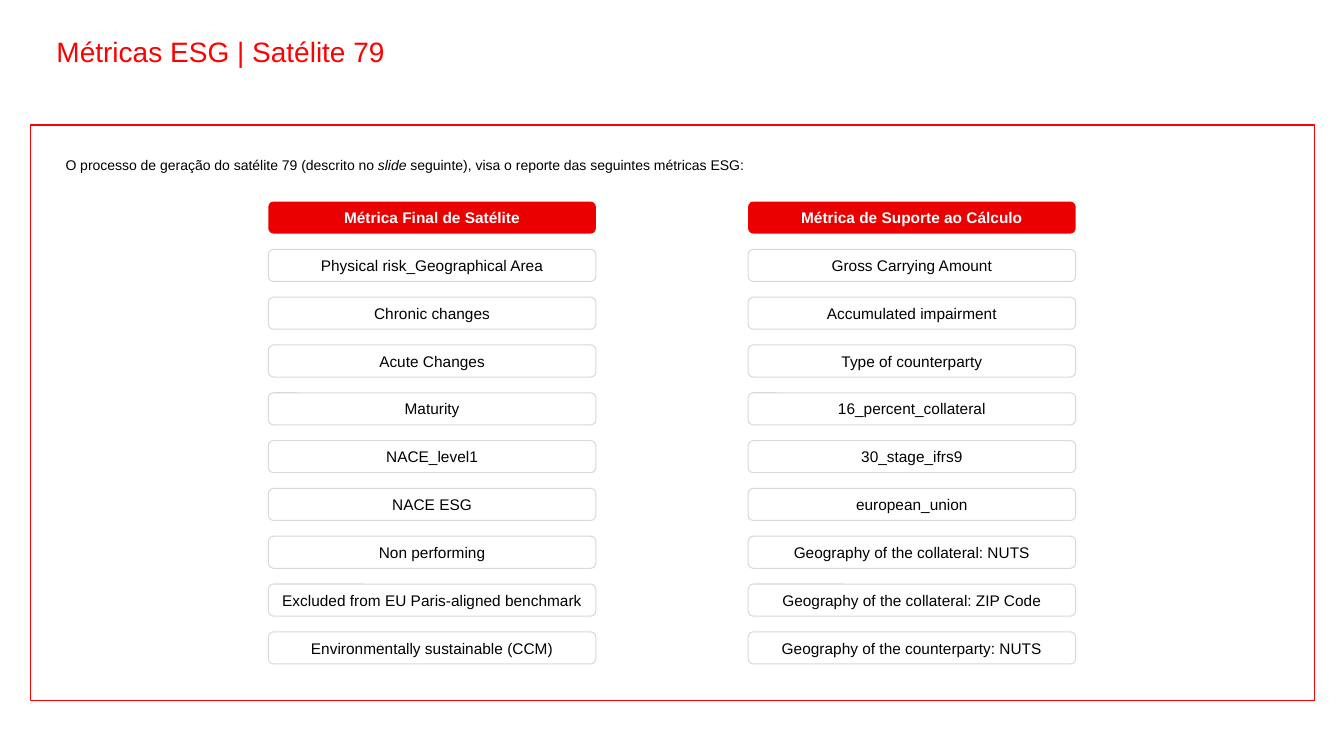
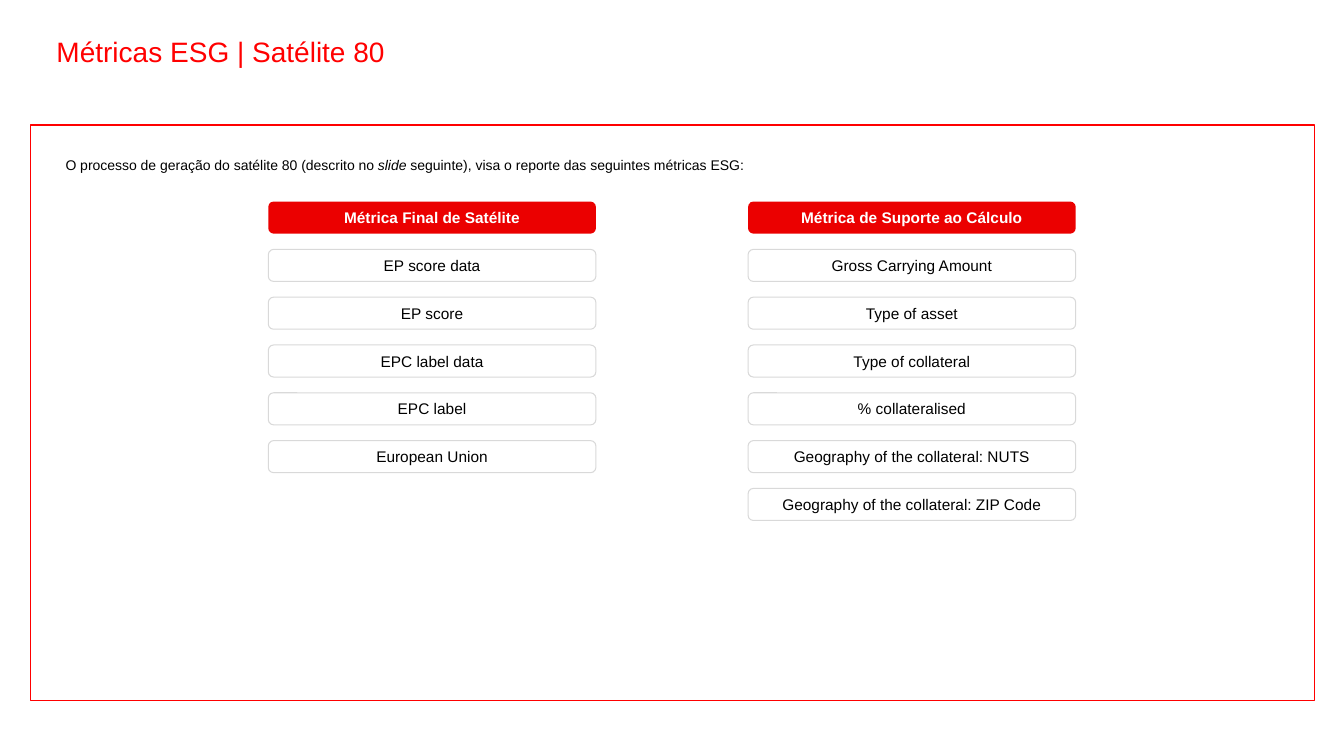
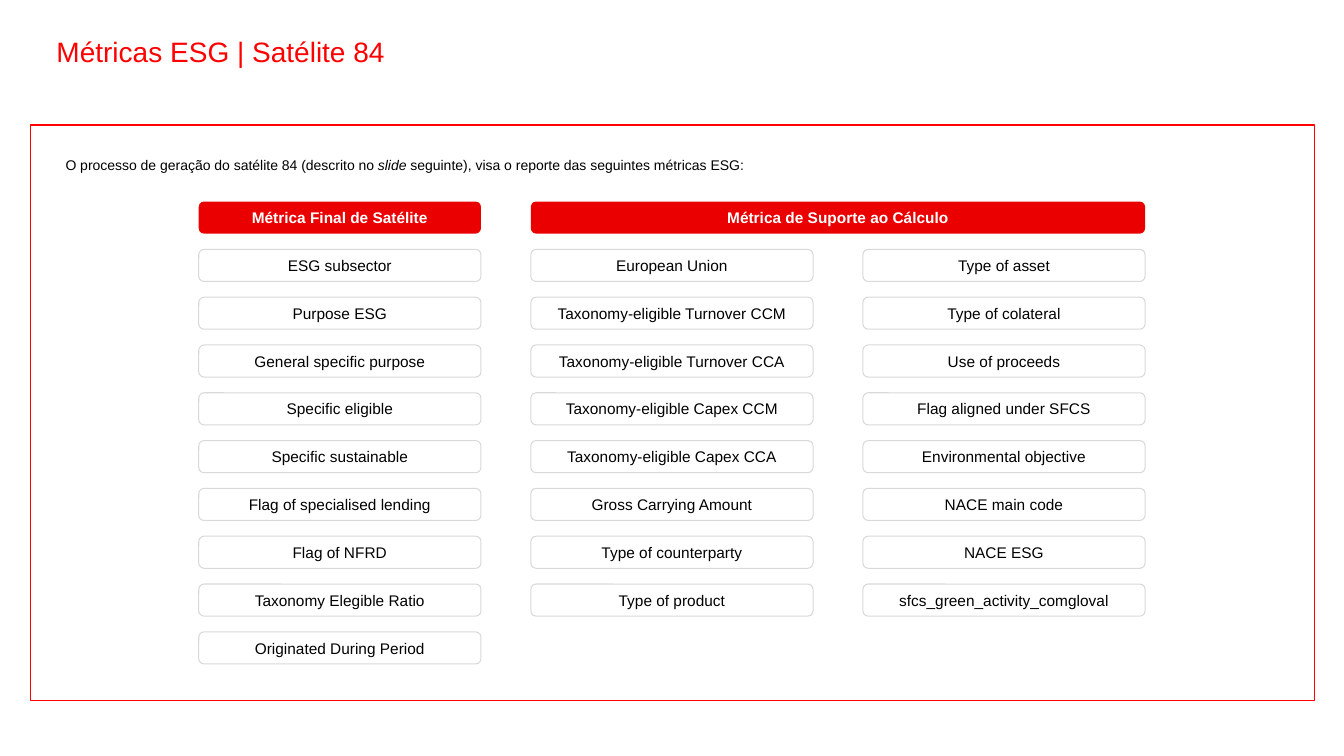
from dataclasses import dataclass

from lxml import etree
from pptx import Presentation
from pptx.dml.color import RGBColor
from pptx.enum.shapes import MSO_SHAPE
from pptx.enum.text import MSO_ANCHOR, MSO_AUTO_SIZE, PP_ALIGN
from pptx.oxml.ns import qn
from pptx.util import Pt

RECT, ROUND_RECT = MSO_SHAPE.RECTANGLE, MSO_SHAPE.ROUNDED_RECTANGLE
LEFT, CENTER = PP_ALIGN.LEFT, PP_ALIGN.CENTER
TOP, MIDDLE = MSO_ANCHOR.TOP, MSO_ANCHOR.MIDDLE
NO_FIT = MSO_AUTO_SIZE.NONE

# Content: each section is a heading over one or more columns of metrics
FINAL, SUPPORT = "Métrica Final de Satélite", "Métrica de Suporte ao Cálculo"

SATELLITES = [
    {"number": 79, "width": 234, "gap": 108.7, "sections": [
        (FINAL, [[
            "Physical risk_Geographical Area", "Chronic changes", "Acute Changes",
            "Maturity", "NACE_level1", "NACE ESG", "Non performing",
            "Excluded from EU Paris-aligned benchmark",
            "Environmentally sustainable (CCM)"]]),
        (SUPPORT, [[
            "Gross Carrying Amount", "Accumulated impairment", "Type of counterparty",
            "16_percent_collateral", "30_stage_ifrs9", "european_union",
            "Geography of the collateral: NUTS",
            "Geography of the collateral: ZIP Code",
            "Geography of the counterparty: NUTS"]]),
    ]},
    {"number": 80, "width": 234, "gap": 108.7, "sections": [
        (FINAL, [[
            "EP score data", "EP score", "EPC label data", "EPC label",
            "European Union"]]),
        (SUPPORT, [[
            "Gross Carrying Amount", "Type of asset", "Type of collateral",
            "% collateralised", "Geography of the collateral: NUTS",
            "Geography of the collateral: ZIP Code"]]),
    ]},
    {"number": 84, "width": 201.6, "gap": 35.6, "sections": [
        (FINAL, [[
            "ESG subsector", "Purpose ESG", "General specific purpose",
            "Specific eligible", "Specific sustainable",
            "Flag of specialised lending", "Flag of NFRD",
            "Taxonomy Elegible Ratio", "Originated During Period"]]),
        (SUPPORT, [
            ["European Union", "Taxonomy-eligible Turnover CCM",
             "Taxonomy-eligible Turnover CCA", "Taxonomy-eligible Capex CCM",
             "Taxonomy-eligible Capex CCA", "Gross Carrying Amount",
             "Type of counterparty", "Type of product"],
            ["Type of asset", "Type of colateral", "Use of proceeds",
             "Flag aligned under SFCS", "Environmental objective",
             "NACE main code", "NACE ESG", "sfcs_green_activity_comgloval"]]),
    ]},
]


@dataclass(frozen=True)
class Theme:
    font: str = "Arial"
    red: RGBColor = RGBColor(0xFF, 0x00, 0x00)
    heading: RGBColor = RGBColor(0xEB, 0x00, 0x00)
    border: RGBColor = RGBColor(0xD9, 0xD9, 0xD9)
    white: RGBColor = RGBColor(0xFF, 0xFF, 0xFF)
    black: RGBColor = RGBColor(0x00, 0x00, 0x00)
    title_size: int = 20
    intro_size: int = 10
    box_size: int = 11


THEME = Theme()

# Geometry in points: left, top, width, height
SLIDE_W, SLIDE_H = 960, 540
FRAME = (21.6, 89.3, 917.3, 411.1)
TITLE = (33.1, 23.8, 729.4, 28.8)
INTRO = (39.6, 108, 881.3, 383)
GRID_TOP, ROW_PITCH, BOX_H = 144, 34.15, 22.9


def place(shape, box):
    shape.left, shape.top, shape.width, shape.height = map(Pt, box)


def style_runs(p, size, color, bold=False):
    for r in p.runs:
        r.font.name, r.font.size = THEME.font, Pt(size)
        r.font.color.rgb, r.font.bold = color, bold


def prepare_layout(prs):
    """Place the shared placeholders and the red frame on the layout."""
    layout = prs.slide_layouts[1]
    for idx, box, anchor in ((0, TITLE, MIDDLE), (1, INTRO, TOP)):
        holder = next(h for h in layout.placeholders
                      if h.placeholder_format.idx == idx)
        place(holder, box)
        holder.text_frame.vertical_anchor = anchor
        holder.text_frame.auto_size = NO_FIT
    return layout


def move_frame_to_layout(s, layout):
    frame = s.shapes.add_shape(RECT, *map(Pt, FRAME))
    frame.shadow.inherit = False
    frame.fill.background()
    frame.line.color.rgb, frame.line.width = THEME.red, Pt(1)
    layout.shapes.element.append(frame.element)


def add_title(s, number):
    s.shapes.title.text_frame.text = f"Métricas ESG | Satélite {number}"
    p = s.shapes.title.text_frame.paragraphs[0]
    p.alignment, p.line_spacing = LEFT, 0.9
    style_runs(p, THEME.title_size, THEME.red)


def add_intro(s, number):
    p = s.placeholders[1].text_frame.paragraphs[0]
    pPr = p._p.get_or_add_pPr()
    pPr.set("marL", "0")
    pPr.set("indent", "0")
    etree.SubElement(pPr, qn("a:buNone"))
    p.space_before = Pt(0)
    for text in (f"O processo de geração do satélite {number} (descrito no ",
                 "slide ",
                 "seguinte), visa o reporte das seguintes métricas ESG:"):
        p.add_run().text = text
    style_runs(p, THEME.intro_size, THEME.black)
    p.runs[1].font.italic = True


def add_box(s, x, row, width, text, heading=False):
    sp = s.shapes.add_shape(ROUND_RECT, Pt(x), Pt(GRID_TOP + row * ROW_PITCH),
                            Pt(width), Pt(BOX_H))
    sp.shadow.inherit = False
    sp.fill.solid()
    sp.fill.fore_color.rgb = THEME.heading if heading else THEME.white
    if heading:
        sp.line.fill.background()
    else:
        sp.line.color.rgb, sp.line.width = THEME.border, Pt(0.75)
    tf = sp.text_frame
    tf.text, tf.word_wrap, tf.vertical_anchor = text, True, MIDDLE
    p = tf.paragraphs[0]
    p.alignment = CENTER
    style_runs(p, THEME.box_size, THEME.white if heading else THEME.black, heading)


def add_metrics(s, sections, width, gap):
    """Centre the columns on the slide; a heading spans its own columns."""
    count = sum(len(columns) for _, columns in sections)
    x = (SLIDE_W - count * width - (count - 1) * gap) / 2
    for heading, columns in sections:
        span = len(columns) * (width + gap) - gap
        add_box(s, x, 0, span, heading, heading=True)
        for metrics in columns:
            for row, metric in enumerate(metrics, 1):
                add_box(s, x, row, width, metric)
            x += width + gap


def main():
    prs = Presentation()
    prs.slide_width, prs.slide_height = Pt(SLIDE_W), Pt(SLIDE_H)
    layout = prepare_layout(prs)
    for satellite in SATELLITES:
        s = prs.slides.add_slide(layout)
        add_title(s, satellite["number"])
        add_intro(s, satellite["number"])
        add_metrics(s, satellite["sections"], satellite["width"], satellite["gap"])
    move_frame_to_layout(prs.slides[0], layout)
    prs.save("out.pptx")


if __name__ == "__main__":
    main()
